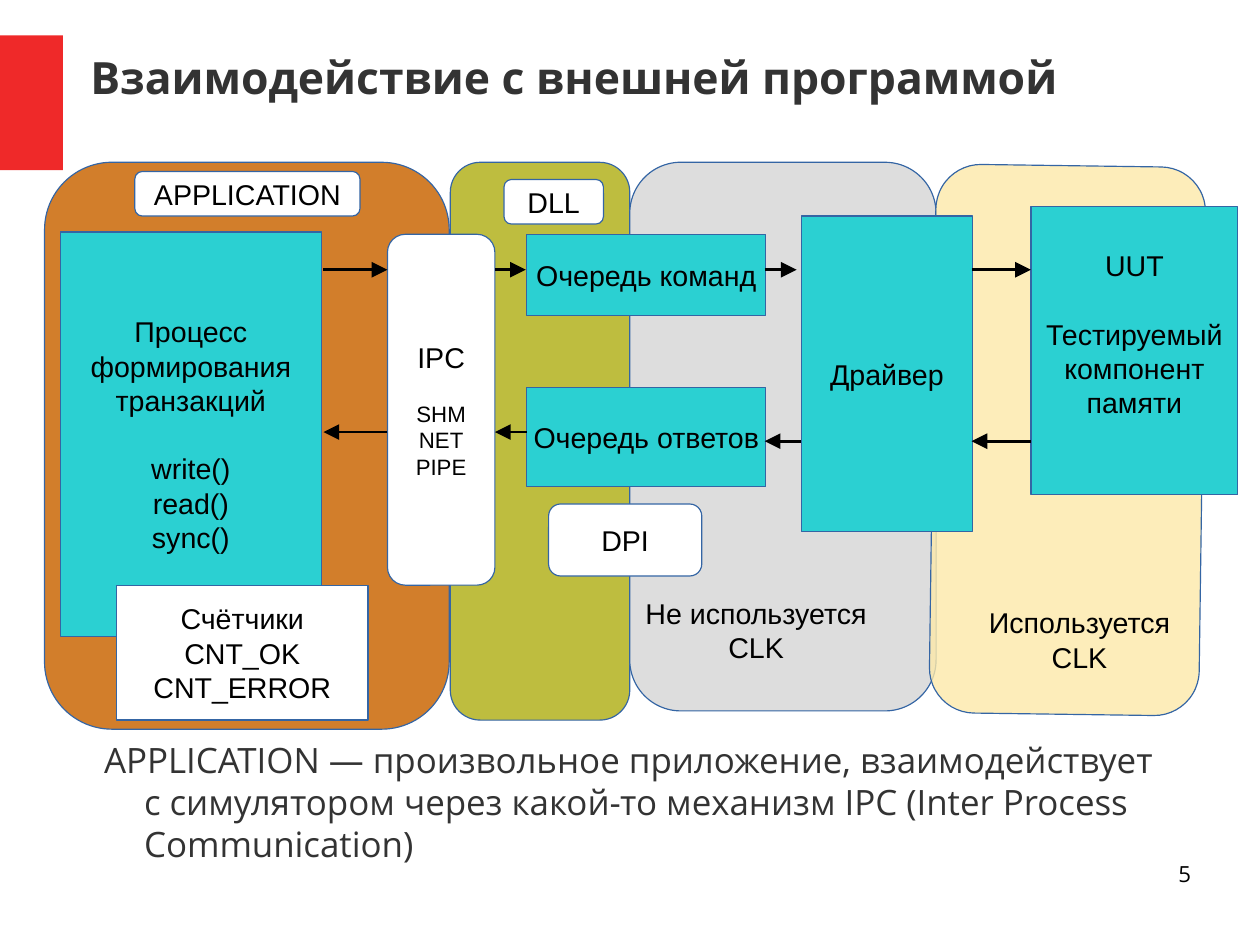
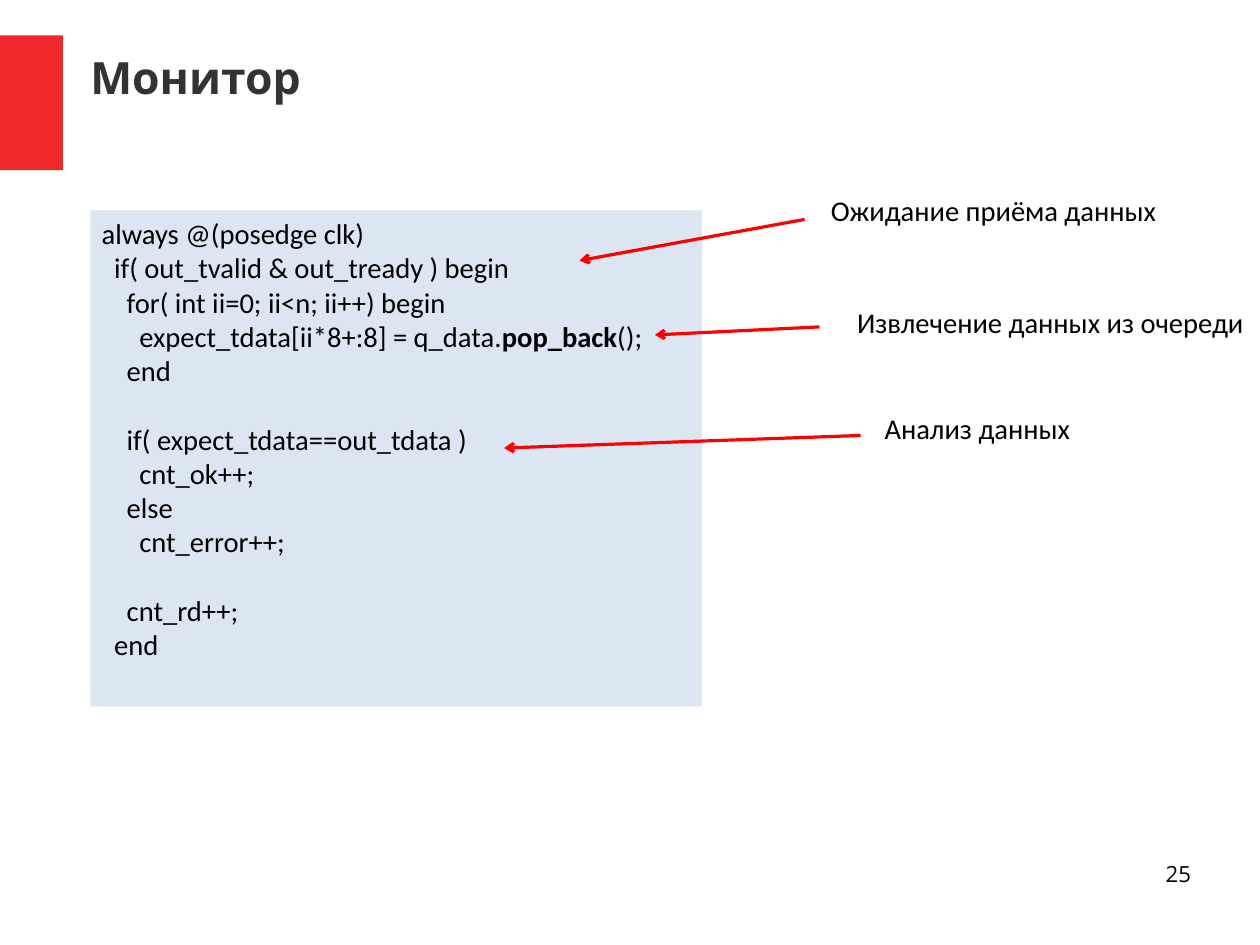
from dataclasses import dataclass

from lxml import etree
from pptx import Presentation
from pptx.dml.color import RGBColor
from pptx.enum.shapes import MSO_CONNECTOR, MSO_SHAPE
from pptx.enum.text import MSO_ANCHOR, PP_ALIGN
from pptx.oxml.ns import qn
from pptx.util import Inches, Pt

RECT = MSO_SHAPE.RECTANGLE
ROUNDED = MSO_SHAPE.ROUNDED_RECTANGLE
STRAIGHT = MSO_CONNECTOR.STRAIGHT
TOP, MIDDLE = MSO_ANCHOR.TOP, MSO_ANCHOR.MIDDLE
LEFT, CENTER, RIGHT = PP_ALIGN.LEFT, PP_ALIGN.CENTER, PP_ALIGN.RIGHT

ACCENT, INK, BLACK, WHITE = "EF2929", "333333", "000000", "FFFFFF"
OUTLINE, BLOCK, CODE_FILL, POINTER = "3465A4", "2BD0D2", "DCE6F2", "FF0000"
HEADING_FONT, DIAGRAM_FONT, CODE_FONT = "Open Sans", "Arial", "Calibri"
PADDING = (0.1, 0.05, 0.1, 0.05)
NO_PADDING = (0, 0, 0, 0)
DIAGRAM_GAP, CODE_GAP = 21.5, 21.5
CODE_INDENT = 0.11
CM_PER_INCH = 2.54


@dataclass
class Line:
    text: str
    gap: float = 0
    size: float = 18
    level: int = 0
    bold_part: str = ""


def rgb(color):
    return RGBColor.from_string(color)


def add_run(paragraph, text, font, size, color, bold=False):
    run = paragraph.add_run()
    run.text = text
    run.font.name = font
    run.font.size = Pt(size)
    run.font.bold = bold
    run.font.color.rgb = rgb(color)


def write(shape, lines, font, color=BLACK, align=LEFT, anchor=TOP,
          padding=PADDING, wrap=True, bold=False):
    frame = shape.text_frame
    frame.word_wrap = wrap
    frame.vertical_anchor = anchor
    frame.margin_left, frame.margin_top, frame.margin_right, frame.margin_bottom = map(Inches, padding)
    for index, line in enumerate(lines):
        paragraph = frame.add_paragraph() if index else frame.paragraphs[0]
        paragraph.alignment = align
        paragraph.space_before = Pt(line.gap)
        if line.level:
            paragraph._p.get_or_add_pPr().set("marL", str(Inches(line.level * CODE_INDENT)))
        if line.bold_part:
            before, after = line.text.split(line.bold_part)
            parts = [(before, bold), (line.bold_part, True), (after, bold)]
        else:
            parts = [(line.text, bold)]
        for text, is_bold in parts:
            add_run(paragraph, text, font, line.size, color, is_bold)


def add_text(slide, box, lines, font, **style):
    label = slide.shapes.add_textbox(*map(Inches, box))
    write(label, lines, font, **style)
    return label


def add_panel(slide, box, fill=None, kind=RECT, outline=None):
    panel = slide.shapes.add_shape(kind, *map(Inches, box))
    panel.shadow.inherit = False
    if fill:
        panel.fill.solid()
        panel.fill.fore_color.rgb = rgb(fill)
    else:
        panel.fill.background()
    if outline:
        panel.line.color.rgb = rgb(outline)
        panel.line.width = Pt(0)
    else:
        panel.line.fill.background()
    return panel


def add_block(slide, box, lines, fill=BLOCK, kind=RECT, outline=OUTLINE, padding=PADDING):
    block = add_panel(slide, box, fill, kind, outline)
    write(block, lines, DIAGRAM_FONT, align=CENTER, anchor=MIDDLE, padding=padding, wrap=False)


def add_arrow(slide, start, end, color, width, head, head_size):
    arrow = slide.shapes.add_connector(STRAIGHT, *map(Inches, start + end))
    arrow.line.color.rgb = rgb(color)
    arrow.line.width = Pt(width)
    etree.SubElement(arrow.line._get_or_add_ln(), qn("a:tailEnd"),
                     type=head, w=head_size, len=head_size)
    etree.SubElement(arrow._element.spPr, qn("a:effectLst"))


def set_opacity(panel, percent):
    color = panel._element.spPr.find(qn("a:solidFill")).find(qn("a:srgbClr"))
    etree.SubElement(color, qn("a:alpha"), val=str(percent * 1000))


def add_page(deck, title, number):
    slide = deck.slides.add_slide(deck.slide_layouts[6])
    add_panel(slide, (0, 0.31, 0.55, 1.18), ACCENT)
    add_text(slide, (0.79, 0.33, 9.68, 0.69), [Line(title, size=28)], HEADING_FONT,
             color=INK, anchor=MIDDLE, padding=NO_PADDING, bold=True)
    add_text(slide, (7.9, 7.53, 2.52, 0.57), [Line(number, size=14)], HEADING_FONT,
             align=RIGHT, padding=NO_PADDING)
    return slide


def add_zones(slide):
    for box, fill in [
        ((0.39, 1.42, 3.54, 4.96), "D27E2B"),
        ((3.94, 1.42, 1.57, 4.88), "BEBD3F"),
        ((5.51, 1.42, 2.68, 4.8), "DDDDDD"),
    ]:
        add_panel(slide, box, fill, ROUNDED, OUTLINE)
    clocked_zone = add_panel(slide, (8.16, 1.45, 2.36, 4.8), "FDE9A9", ROUNDED, OUTLINE)
    clocked_zone.rotation = 0.8
    set_opacity(clocked_zone, 80)


def add_blocks(slide):
    add_block(slide, (4.61, 2.05, 2.09, 0.71), [Line("Очередь команд")])
    add_block(slide, (4.61, 3.39, 2.09, 0.87), [Line("Очередь ответов")])
    add_block(slide, (7.01, 1.89, 1.5, 2.76), [Line("Драйвер")])
    add_block(slide, (9.02, 1.81, 1.81, 2.52),
              [Line("UUT"), Line("Тестируемый", DIAGRAM_GAP), Line("компонент"), Line("памяти")],
              padding=(0.1, 0.05, 0.1, 0.35))
    add_block(slide, (0.53, 2.03, 2.28, 3.54),
              [Line("Процесс"), Line("формирования"), Line("транзакций"),
               Line("write()", DIAGRAM_GAP), Line("read()"), Line("sync()")])
    add_block(slide, (1.02, 5.12, 2.2, 1.18),
              [Line("Счётчики"), Line("CNT_OK"), Line("CNT_ERROR")], WHITE)
    add_block(slide, (3.39, 2.05, 0.94, 3.07),
              [Line("IPC"), Line("SHM", 16.5, 14), Line("NET", size=14), Line("PIPE", size=14)],
              WHITE, ROUNDED)
    for box, name in [
        ((1.18, 1.5, 1.97, 0.39), "APPLICATION"),
        ((4.41, 1.57, 0.87, 0.39), "DLL"),
        ((4.8, 4.41, 1.34, 0.63), "DPI"),
    ]:
        add_block(slide, box, [Line(name)], WHITE, ROUNDED)
    for box, usage in [
        ((5.83, 5.12, 1.57, 0.79), "Не используется"),
        ((8.66, 5.2, 1.57, 0.79), "Используется"),
    ]:
        add_block(slide, box, [Line(usage), Line("CLK")], fill=None, outline=None)


def build_interaction(deck):
    slide = add_page(deck, "Взаимодействие с внешней программой", "5")
    add_zones(slide)
    add_blocks(slide)
    for start, end, y in [
        (2.83, 3.39, 2.36), (4.33, 4.6, 2.36), (6.69, 6.97, 2.36), (8.5, 9.02, 2.36),
        (3.39, 2.83, 3.78), (4.61, 4.33, 3.78), (7.01, 6.69, 3.86), (9.02, 8.5, 3.86),
    ]:
        add_arrow(slide, (start, y), (end, y), BLACK, 1.75, "triangle", "lg")
    summary = add_text(
        slide, (0.79, 6.46, 9.45, 1.53),
        [Line("APPLICATION — произвольное приложение, взаимодействует с симулятором "
              "через какой-то механизм IPC (Inter Process Communication)", size=22)],
        HEADING_FONT, color=INK, padding=NO_PADDING)
    properties = summary.text_frame.paragraphs[0]._p.get_or_add_pPr()
    properties.set("marL", str(Inches(0.47)))
    properties.set("indent", str(Inches(-0.35)))


def build_monitor(deck):
    slide = add_page(deck, "Монитор", "25")
    code = add_panel(slide, (0.79, 1.84, 5.35, 4.34), CODE_FILL)
    write(code, [
        Line("always @(posedge clk)"),
        Line("if( out_tvalid & out_tready ) begin", level=1),
        Line("for( int ii=0; ii<n; ii++) begin", level=2),
        Line("expect_tdata[ii*8+:8] = q_data.pop_back();", level=3, bold_part="pop_back"),
        Line("end", level=2),
        Line("if( expect_tdata==out_tdata )", CODE_GAP, level=2),
        Line("cnt_ok++;", level=3),
        Line("else", level=2),
        Line("cnt_error++;", level=3),
        Line("cnt_rd++;", CODE_GAP, level=2),
        Line("end", level=1),
    ], CODE_FONT)
    for note, box, start, end in [
        ("Ожидание приёма данных", (7.17, 1.64, 3.08, 0.4), (7.04, 1.92), (5.07, 2.28)),
        ("Извлечение данных из очереди", (7.4, 2.62, 3.62, 0.4), (7.17, 2.86), (5.73, 2.93)),
        ("Анализ данных", (7.64, 3.55, 3.15, 0.4), (7.53, 3.81), (4.41, 3.92)),
    ]:
        add_text(slide, box, [Line(note)], CODE_FONT, wrap=False)
        add_arrow(slide, start, end, POINTER, 2, "arrow", "med")


def main():
    deck = Presentation()
    deck.slide_width = Inches(28 / CM_PER_INCH)
    deck.slide_height = Inches(21 / CM_PER_INCH)
    build_interaction(deck)
    build_monitor(deck)
    deck.save("out.pptx")


main()
